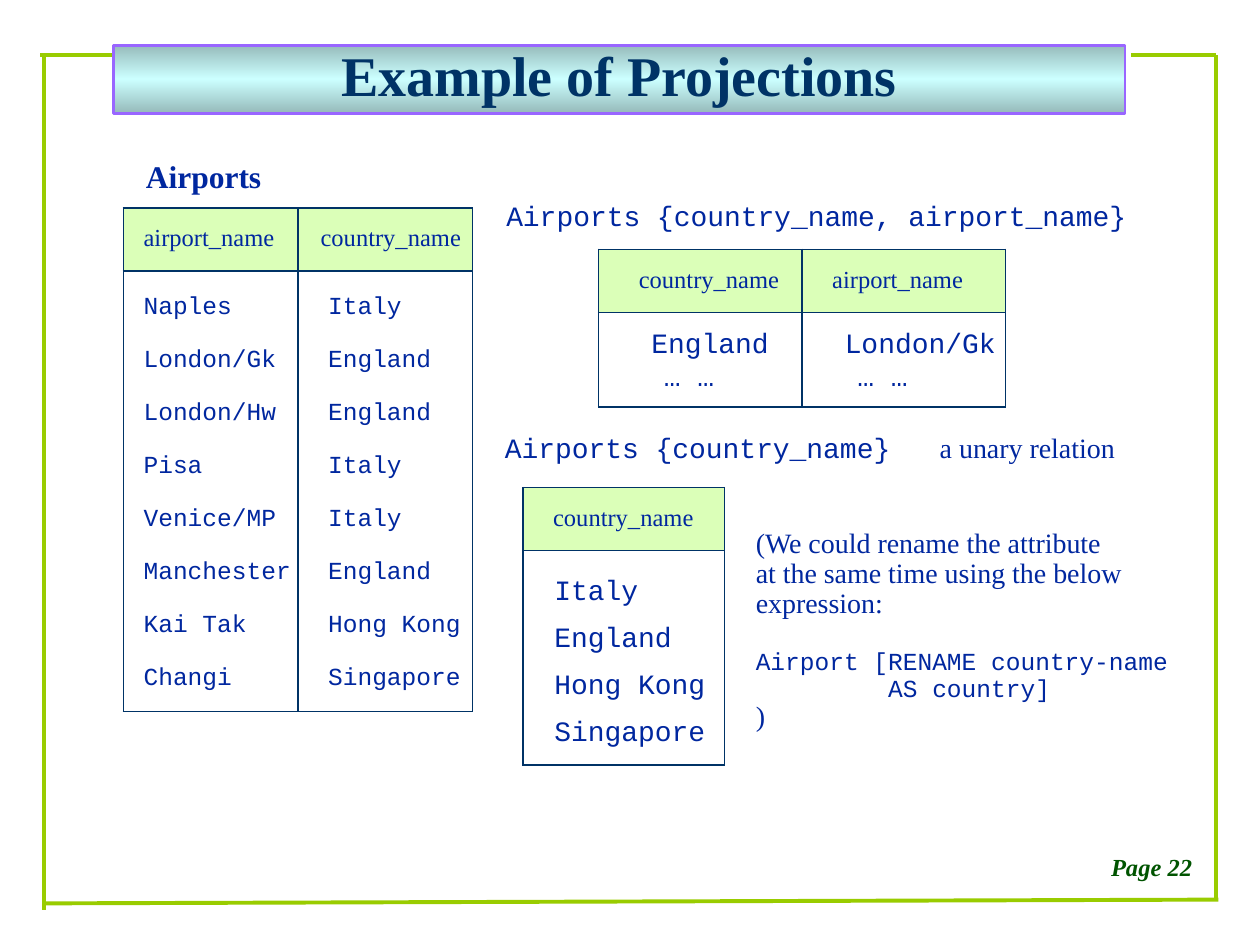
from copy import deepcopy

from lxml.etree import SubElement
from pptx import Presentation
from pptx.dml.color import RGBColor
from pptx.enum.shapes import MSO_CONNECTOR, MSO_SHAPE
from pptx.enum.text import MSO_ANCHOR, MSO_AUTO_SIZE, PP_ALIGN
from pptx.oxml.ns import qn
from pptx.util import Inches, Pt

COLUMNS, ROWS = 100, 75
WIDTH, HEIGHT = Inches(10), Inches(7.5)
SERIF, MONO = "Times New Roman", "Courier New"
NAVY, INK, LIME, PALE, WHITE = "003366", "00279F", "99CC00", "DBFFB8", "FFFFFF"

HEADER = {"name": SERIF, "size": Pt(14)}
CODE = {"name": MONO, "size": Pt(14)}
LARGE_CODE = {"name": MONO, "size": Pt(16)}
PROSE = {"name": SERIF, "size": Pt(16)}
LABEL = {"name": SERIF, "size": Pt(18), "bold": True}
TITLE = {"name": SERIF, "size": Pt(32), "bold": True}
FOOTER = {"name": SERIF, "size": Pt(14), "bold": True, "italic": True}

AIRPORTS = [
    ("airport_name", "country_name"),
    ("Naples", "Italy"),
    ("London/Gk", "England"),
    ("London/Hw", "England"),
    ("Pisa", "Italy"),
    ("Venice/MP", "Italy"),
    ("Manchester", "England"),
    ("Kai Tak", "Hong Kong"),
    ("Changi", "Singapore"),
]
SWAPPED = [("country_name", "airport_name"), ("England", "London/Gk"), ("… …", "… …")]
COUNTRIES = [("country_name",), ("Italy",), ("England",), ("Hong Kong",), ("Singapore",)]
RENAME = [
    ("(We could rename the attribute", PROSE, 0),
    ("at the same time using the below", PROSE, 0),
    ("expression:", PROSE, 0),
    ("Airport [RENAME country-name", CODE, 17),
    ("         AS country]", CODE, 0),
    (")", PROSE, 0),
]
FRAME = [
    (9, 4.4, 3.2, 4.4),
    (3.5, 4.4, 3.5, 72.2),
    (3.5, 71.7, 96.7, 71.4),
    (96.5, 4.4, 96.5, 71.4),
    (96.5, 4.4, 89.8, 4.4),
]


def colour(value):
    """Turn a hex string into a colour."""
    return RGBColor.from_string(value)


def across(columns):
    """Measure grid columns."""
    return round(WIDTH * columns / COLUMNS)


def down(rows):
    """Measure grid rows."""
    return round(HEIGHT * rows / ROWS)


def place(left, top, width, height):
    """Turn a grid area into lengths."""
    return across(left), down(top), across(width), down(height)


def apply(target, values):
    """Set attributes from a dict."""
    for name, value in values.items():
        setattr(target, name, value)


def write(para, text, look, ink=INK, spacing=0.9):
    """Write one formatted line."""
    para.line_spacing = spacing
    span = para.add_run()
    span.text = text
    apply(span.font, look)
    span.font.color.rgb = colour(ink)


def add_text(page, area, lines, ink=INK, align=PP_ALIGN.LEFT):
    """Add a text box of (text, look, space before) lines."""
    frame = page.shapes.add_textbox(*place(*area)).text_frame
    apply(frame, {"word_wrap": True, "auto_size": MSO_AUTO_SIZE.SHAPE_TO_FIT_TEXT})
    for index, (text, look, before) in enumerate(lines):
        para = frame.add_paragraph() if index else frame.paragraphs[0]
        para.alignment = align
        if before:
            para.space_before = Pt(before)
        write(para, text, look, ink)


def add_line(page, x1, y1, x2, y2):
    """Add one line of the page frame."""
    line = page.shapes.add_connector(
        MSO_CONNECTOR.STRAIGHT, across(x1), down(y1), across(x2), down(y2)
    )
    line.line.color.rgb = colour(LIME)
    line.line.width = Pt(2.25)
    SubElement(line._element.spPr, qn("a:effectLst"))


def add_title(page, text):
    """Add the title bar with its gradient."""
    box = page.shapes.add_shape(MSO_SHAPE.RECTANGLE, *place(9, 3.6, 80.3, 5.4))
    box.shadow.inherit = False
    box.line.color.rgb = colour("9966FF")
    box.line.width = Pt(1.5)
    box.fill.gradient()
    box.fill.gradient_angle = 90
    stops = box._element.spPr.find(qn("a:gradFill")).find(qn("a:gsLst"))
    stops.insert(1, deepcopy(stops[0]))
    shades = [(0, "96BBBB"), (0.5, "CCFFFF"), (1, "96BBBB")]
    for stop, (position, shade) in zip(box.fill.gradient_stops, shades):
        stop.position = position
        stop.color.rgb = colour(shade)
    frame = box.text_frame
    apply(frame, {"vertical_anchor": MSO_ANCHOR.MIDDLE, "margin_top": 0, "margin_bottom": 0})
    frame.paragraphs[0].alignment = PP_ALIGN.CENTER
    write(frame.paragraphs[0], text, TITLE, NAVY, 0.85)


def set_borders(cell, visible):
    """Draw the visible sides of a cell and hide the others."""
    properties = cell._tc.get_or_add_tcPr()
    for side in "LRTB":
        border = SubElement(properties, qn(f"a:ln{side}"), w=str(Pt(1)))
        if side in visible:
            paint = SubElement(border, qn("a:solidFill"))
            SubElement(paint, qn("a:srgbClr"), val=NAVY)
        else:
            SubElement(border, qn("a:noFill"))


def add_relation(page, area, data, look, pitch, lead, indents):
    """Add a relation table; indents holds (header, body) for each column."""
    left, top, width, height = area
    head, last = 5, len(data) - 1
    tail = height - head - lead - pitch * last
    table = page.shapes.add_table(len(data), len(data[0]), *place(*area)).table
    apply(table, {"first_row": False, "horz_banding": False})
    for column in table.columns:
        column.width = across(width / len(data[0]))
    for r, values in enumerate(data):
        above = lead if r == 1 else 0
        below = tail if r == last else 0
        table.rows[r].height = down(pitch + above + below if r else head)
        sides = "LRTB" if r == 0 else "LR" + "T" * (r == 1) + "B" * (r == last)
        for c, text in enumerate(values):
            cell = table.cell(r, c)
            indent = indents[c][r > 0] + (text == "… …")
            apply(cell, {
                "margin_left": across(indent), "margin_right": 0,
                "margin_top": down(above), "margin_bottom": down(below),
                "vertical_anchor": MSO_ANCHOR.MIDDLE,
            })
            set_borders(cell, sides)
            cell.fill.solid()
            cell.fill.fore_color.rgb = colour(WHITE if r else PALE)
            write(cell.text_frame.paragraphs[0], text, look if r else HEADER)


def main():
    """Build the slide about projections."""
    deck = Presentation()
    apply(deck, {"slide_width": WIDTH, "slide_height": HEIGHT})
    page = deck.slides.add_slide(deck.slide_layouts[6])
    for ends in FRAME:
        add_line(page, *ends)
    add_text(page, (83.9, 67.4, 15, 3.1), [("Page 22", FOOTER, 0)], "005400", PP_ALIGN.CENTER)
    add_title(page, "Example of Projections")
    add_text(page, (10.6, 12.3, 13, 3.7), [("Airports", LABEL, 0)])
    add_relation(page, (9.8, 16.5, 27.7, 40), AIRPORTS, CODE, 4.2, 0.8,
                 [(1.6, 1.6), (1.8, 2.4)])
    add_text(page, (39.2, 15.6, 53, 3.4),
             [("Airports {country_name, airport_name}", LARGE_CODE, 0)])
    add_relation(page, (47.5, 19.8, 32.3, 12.5), SWAPPED, LARGE_CODE, 2.6, 1.3,
                 [(3.2, 4.2), (2.4, 3.4)])
    add_text(page, (39.1, 34, 34, 3.4), [("Airports {country_name}", LARGE_CODE, 0)])
    add_text(page, (73.6, 34, 18, 3.4), [("a unary relation", PROSE, 0)])
    add_relation(page, (41.5, 38.7, 16, 22), COUNTRIES, LARGE_CODE, 3.73, 1.4, [(2.4, 2.5)])
    add_text(page, (59, 41.5, 37, 17.2), RENAME)
    deck.save("out.pptx")


if __name__ == "__main__":
    main()
